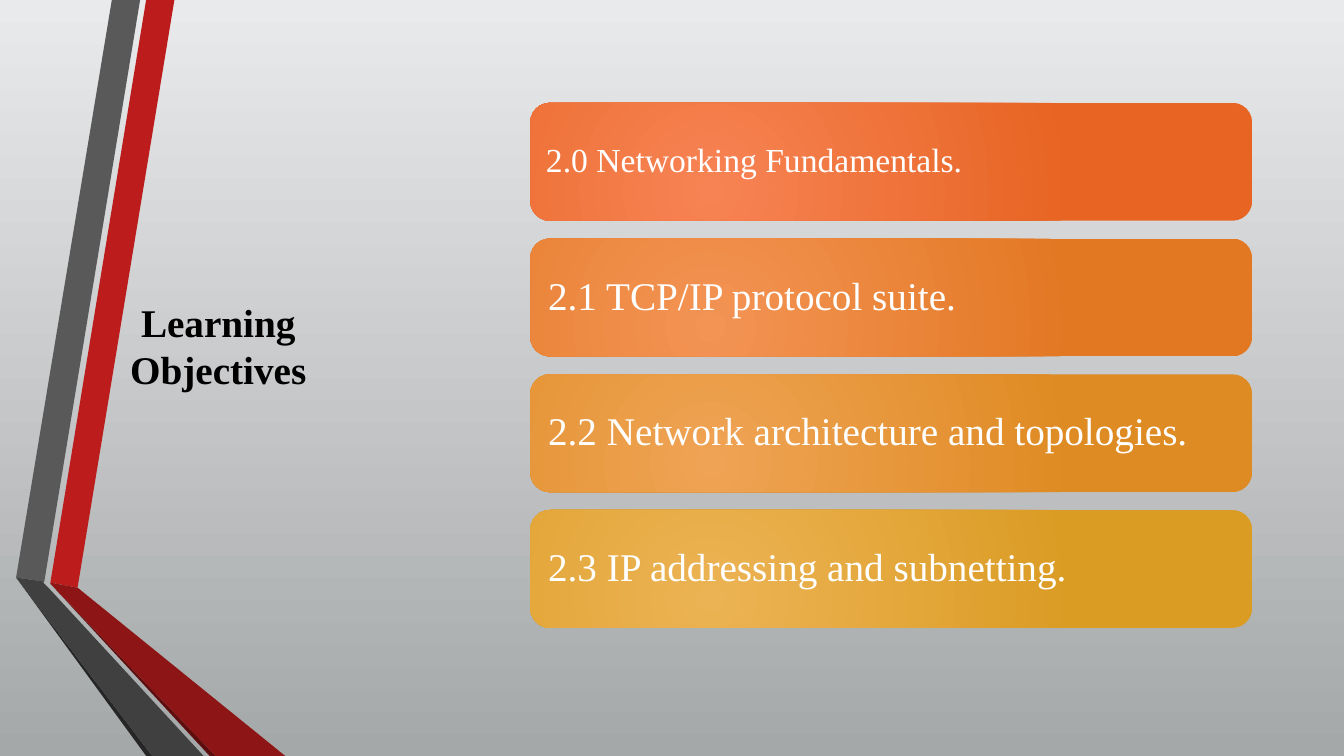
import pptx
import pptx.util
import pptx.dml.color
import pptx.enum.shapes
import pptx.enum.text
import pptx.oxml
import pptx.oxml.ns

RGB = pptx.dml.color.RGBColor
Inches = pptx.util.Inches
Pt = pptx.util.Pt

WIDE, HIGH = 13.33, 7.5
FONT = "Times New Roman"
BLACK, WHITE = RGB(0, 0, 0), RGB(255, 255, 255)
SKY, FLOOR = RGB(0xE9, 0xEA, 0xEB), RGB(0xA5, 0xA8, 0xA9)
RED, WINE, MAROON = RGB(0xBC, 0x1C, 0x1C), RGB(0x8D, 0x15, 0x15), RGB(0x5E, 0x0E, 0x0E)
GREY, SLATE, COAL = RGB(0x59, 0x59, 0x59), RGB(0x40, 0x40, 0x40), RGB(0x26, 0x26, 0x26)

TITLE = "Learning Objectives"
TITLE_BOX = (0.75, 0.7, 2.83, 5.46)

# text, size, inset, centre colour, edge colour
GOALS = [
    ("2.0 Networking Fundamentals.", 24, 0.1, RGB(0xF7, 0x83, 0x54), RGB(0xE7, 0x64, 0x22)),
    ("2.1 TCP/IP protocol suite.", 28, 0.12, RGB(0xF3, 0x93, 0x54), RGB(0xE3, 0x78, 0x23)),
    ("2.2 Network architecture and topologies.", 28, 0.12, RGB(0xEF, 0xA3, 0x54), RGB(0xDF, 0x8B, 0x23)),
    ("2.3 IP addressing and subnetting.", 28, 0.12, RGB(0xEC, 0xB3, 0x54), RGB(0xDB, 0x9C, 0x24)),
]
LIST_BOX = (5.26, 1.02, 7.16, 5.21)
BAR_HIGH = 1.17

# Ribbons, back to front: colour and corners
RIBBONS = [
    (RED, [(0.5, 5.78), (0.77, 5.83), (1.73, 0), (1.45, 0)]),
    (GREY, [(1.39, 0), (1.11, 0), (0.16, 5.73), (0.44, 5.77)]),
    (COAL, [(0.16, 5.73), (1.45, HIGH), (1.51, HIGH)]),
    (MAROON, [(0.5, 5.79), (2.08, HIGH), (2.14, HIGH)]),
    (WINE, [(0.5, 5.79), (2.14, HIGH), (2.83, HIGH), (0.77, 5.83), (0.5, 5.78)]),
    (SLATE, [(2.02, HIGH), (0.48, 5.83), (0.43, 5.78), (0.44, 5.77), (0.16, 5.73), (1.51, HIGH)]),
]


def blend(fill, first, last):
    fill.gradient()
    for stop, colour in zip(fill.gradient_stops, (first, last)):
        stop.color.rgb = colour


def make_round(shape):
    """Turn the shape's linear gradient into a circular one, low and left of centre."""
    line = shape.fill._xPr.find(".//" + pptx.oxml.ns.qn("a:lin"))
    ring = pptx.oxml.parse_xml(
        f'<a:path {pptx.oxml.ns.nsdecls("a")} path="circle">'
        '<a:fillToRect l="50000" t="100000" r="100000" b="50000"/></a:path>')
    line.getparent().replace(line, ring)


def write(shape, text, size, colour, align, bold=False):
    frame = shape.text_frame
    frame.text = text
    frame.word_wrap = True
    frame.vertical_anchor = pptx.enum.text.MSO_ANCHOR.MIDDLE
    para = frame.paragraphs[0]
    para.alignment = align
    font = para.runs[0].font
    font.name, font.size, font.bold = FONT, Pt(size), bold
    font.color.rgb = colour
    return frame, para


def add_ribbon(shapes, colour, points):
    corners = [(Inches(x), Inches(y)) for x, y in points]
    pen = shapes.build_freeform(*corners[0])
    pen.add_line_segments(corners[1:], close=True)
    shape = pen.convert_to_shape()
    shape.shadow.inherit = False
    shape.fill.solid()
    shape.fill.fore_color.rgb = colour
    shape.line.fill.background()


def add_goal(shapes, box, goal):
    text, size, inset, inner, outer = goal
    bar = shapes.add_shape(pptx.enum.shapes.MSO_SHAPE.ROUNDED_RECTANGLE, *map(Inches, box))
    bar.shadow.inherit = False
    bar.line.fill.background()
    blend(bar.fill, inner, outer)
    make_round(bar)
    frame, para = write(bar, text, size, WHITE, pptx.enum.text.PP_ALIGN.LEFT)
    frame.margin_left = frame.margin_right = Inches(inset)
    para.line_spacing = 0.9


def main():
    deck = pptx.Presentation()
    deck.slide_width, deck.slide_height = Inches(WIDE), Inches(HIGH)
    slide = deck.slides.add_slide(deck.slide_layouts[6])
    ground = slide.background.fill
    blend(ground, SKY, FLOOR)
    ground.gradient_angle = 270

    for colour, points in RIBBONS:
        add_ribbon(slide.shapes, colour, points)

    title = slide.shapes.add_textbox(*map(Inches, TITLE_BOX))
    write(title, TITLE, 28, BLACK, pptx.enum.text.PP_ALIGN.CENTER, bold=True)

    left, top, wide, high = LIST_BOX
    step = (high - BAR_HIGH) / (len(GOALS) - 1)
    for row, goal in enumerate(GOALS):
        add_goal(slide.shapes, (left, top + row * step, wide, BAR_HIGH), goal)

    deck.save("out.pptx")


if __name__ == "__main__":
    main()
